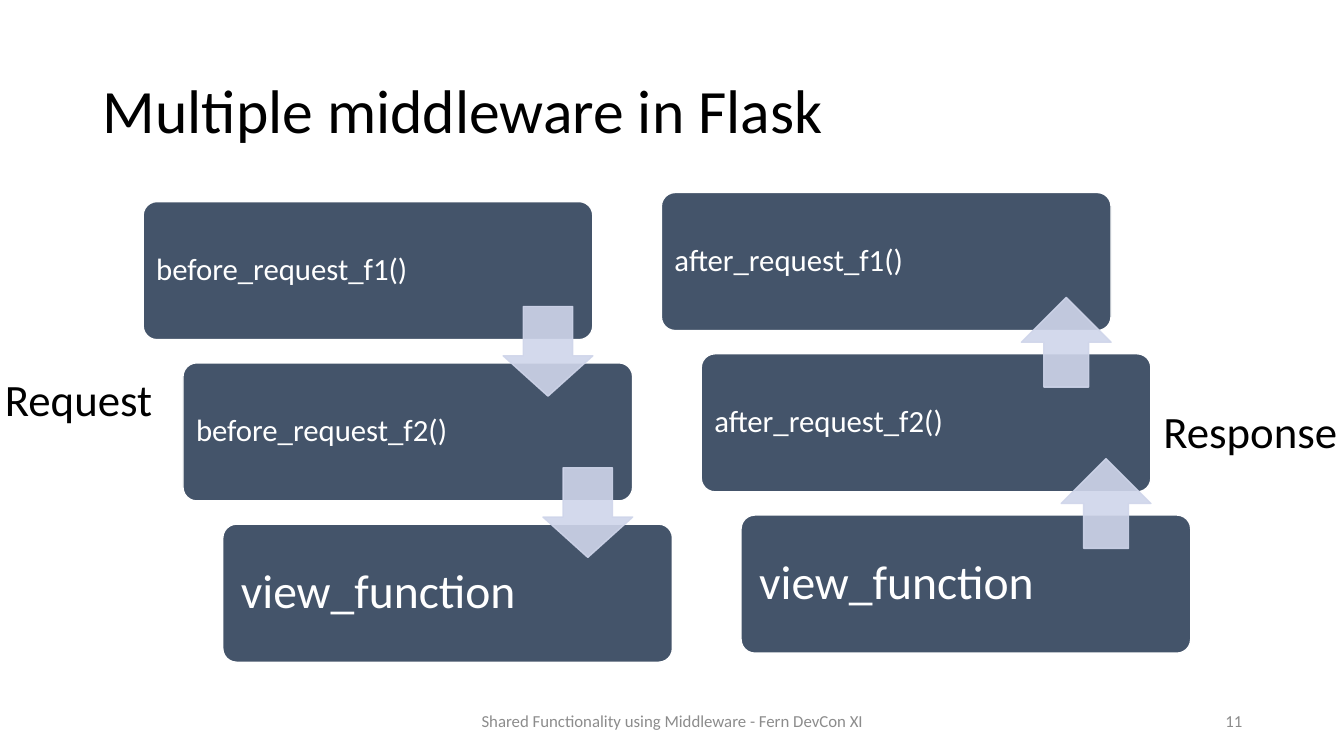
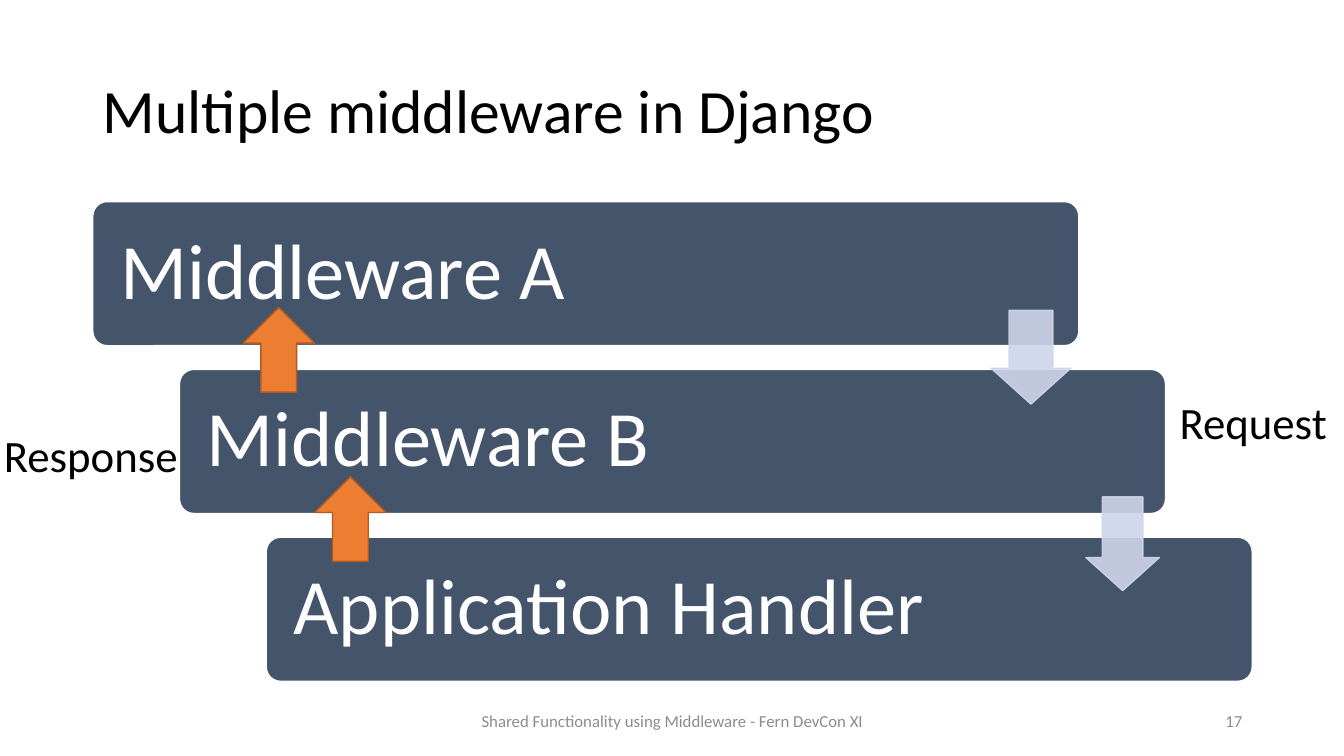
from dataclasses import dataclass

from lxml import etree
from pptx import Presentation
from pptx.dml.color import RGBColor
from pptx.enum import shapes, text
from pptx.oxml.ns import qn
from pptx.util import Inches, Pt

SHAPE = shapes.MSO_SHAPE
ALIGN = text.PP_ALIGN
TITLE_ONLY = 5


@dataclass(frozen=True)
class Theme:
    font: str = "Calibri"
    ink: str = "000000"
    paper: str = "FFFFFF"
    step: str = "44546A"
    pale: str = "CFD5EA"
    accent: str = "ED7D31"
    accent_edge: str = "AF5C24"
    muted: str = "8C8C8C"
    title_size: int = 44
    label_size: int = 32
    footer_size: int = 12


@dataclass(frozen=True)
class Box:
    left: float
    top: float
    width: float
    height: float

    def lengths(self):
        return [Inches(n) for n in (self.left, self.top, self.width, self.height)]

    def moved(self, across, down):
        return Box(self.left + across, self.top + down, self.width, self.height)


@dataclass(frozen=True)
class Step:
    words: str
    size: int
    inset: float


THEME = Theme()
FOOTER = "Shared Functionality using Middleware - Fern DevCon XI"


def style(para, size, color, align=ALIGN.LEFT):
    para.alignment = align
    para.font.name = THEME.font
    para.font.size = Pt(size)
    para.font.color.rgb = RGBColor.from_string(color)


def add_shape(page, kind, box, fill, edge):
    shape = page.shapes.add_shape(kind, *box.lengths())
    shape.shadow.inherit = False
    shape.fill.solid()
    shape.fill.fore_color.rgb = RGBColor.from_string(fill)
    shape.line.color.rgb = RGBColor.from_string(edge)
    shape.line.width = Pt(1)
    return shape


def add_text(page, box, words, size, color, align=ALIGN.LEFT,
             anchor=text.MSO_ANCHOR.TOP, wrap=True):
    frame = page.shapes.add_textbox(*box.lengths()).text_frame
    frame.word_wrap = wrap
    frame.vertical_anchor = anchor
    frame.text = words
    style(frame.paragraphs[0], size, color, align)


def add_label(page, left, top, width, words):
    add_text(page, Box(left, top, width, 0.64), words,
             THEME.label_size, THEME.ink, wrap=False)


def add_pale_arrow(page, kind, box):
    """Draw a 90% opaque arrow that lets the steps show through."""
    arrow = add_shape(page, kind, box, THEME.pale, THEME.pale)
    if kind == SHAPE.DOWN_ARROW:
        arrow.adjustments[0], arrow.adjustments[1] = 0.55, 0.45
    for color in arrow._element.spPr.iter(qn("a:srgbClr")):
        etree.SubElement(color, qn("a:alpha"), val="90000")


def add_staircase(page, first, across, down, steps):
    """Draw the steps from the first box down and return their boxes."""
    boxes = [first.moved(i * across, i * down) for i in range(len(steps))]
    for box, step in zip(boxes, steps):
        shape = add_shape(page, SHAPE.ROUNDED_RECTANGLE, box, THEME.step, THEME.paper)
        shape.adjustments[0] = 0.1
        frame = shape.text_frame
        frame.margin_left = frame.margin_right = Inches(step.inset)
        frame.margin_top = frame.margin_bottom = Inches(step.inset)
        frame.vertical_anchor = text.MSO_ANCHOR.MIDDLE
        frame.text = step.words
        para = frame.paragraphs[0]
        para.line_spacing = 0.9
        style(para, step.size, THEME.paper)
    return boxes


def add_page(deck, title, number):
    page = deck.slides.add_slide(deck.slide_layouts[TITLE_ONLY])
    heading = page.shapes.title
    heading.left, heading.top, heading.width, heading.height = (
        Box(0.92, 0.4, 11.5, 1.45).lengths())
    frame = heading.text_frame
    frame.text = title
    frame.auto_size = text.MSO_AUTO_SIZE.NONE
    frame.vertical_anchor = text.MSO_ANCHOR.MIDDLE
    para = frame.paragraphs[0]
    para.line_spacing = 0.9
    style(para, THEME.title_size, THEME.ink)
    for box, words, align in (
        (Box(4.42, 6.95, 4.5, 0.4), FOOTER, ALIGN.CENTER),
        (Box(9.42, 6.95, 3, 0.4), str(number), ALIGN.RIGHT),
    ):
        add_text(page, box, words, THEME.footer_size, THEME.muted, align,
                 text.MSO_ANCHOR.MIDDLE)
    return page


def add_flask_chain(page, left, top, prefix, arrow_kind):
    steps = [Step(f"{prefix}_request_f{n}()", 22, 0.09) for n in (1, 2)]
    steps.append(Step("view_function", 34, 0.14))
    boxes = add_staircase(page, Box(left, top, 4.46, 1.37), 0.395, 1.6, steps)
    side = 0.89
    for box in boxes[:-1]:
        add_pale_arrow(page, arrow_kind,
                       Box(box.left + box.width - side, box.top + 1.04, side, side))


def add_flask_page(deck):
    page = add_page(deck, "Multiple middleware in Flask", 11)
    add_flask_chain(page, 1.42, 2, "before", SHAPE.DOWN_ARROW)
    add_label(page, -0.05, 3.64, 1.68, "Request")
    add_label(page, 11.44, 3.96, 1.94, "Response")
    add_flask_chain(page, 6.56, 1.91, "after", SHAPE.UP_ARROW)


def add_django_page(deck):
    page = add_page(deck, "Multiple middleware in Django", 17)
    names = ("Middleware A", "Middleware B", "Application Handler")
    add_staircase(page, Box(0.92, 2, 9.78, 1.43), 0.86, 1.665,
                  [Step(name, 56, 0.23) for name in names])
    for box in (Box(9.83, 3.08, 0.79, 0.93), Box(10.77, 4.93, 0.73, 0.93)):
        add_pale_arrow(page, SHAPE.DOWN_ARROW, box)
    upper = Box(2.41, 3.05, 0.71, 0.84)
    for box in (upper, upper.moved(0.71, 1.68)):
        add_shape(page, SHAPE.UP_ARROW, box, THEME.accent, THEME.accent_edge)
    add_label(page, 11.6, 3.87, 1.68, "Request")
    add_label(page, -0.06, 4.19, 1.94, "Response")


def main():
    deck = Presentation()
    deck.slide_width, deck.slide_height = Inches(13.33), Inches(7.5)
    add_flask_page(deck)
    add_django_page(deck)
    deck.save("out.pptx")


if __name__ == "__main__":
    main()
